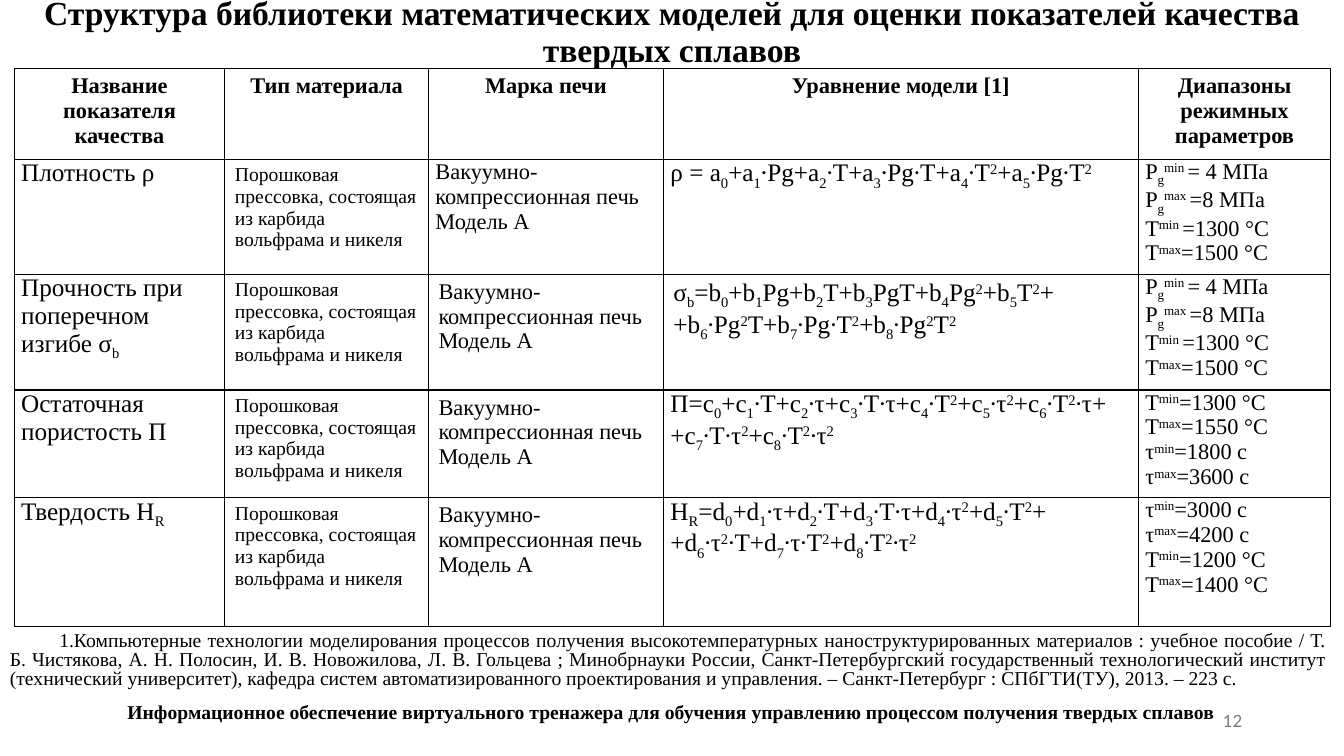
import copy
from dataclasses import dataclass

import pptx
import pptx.dml.color
import pptx.enum.text
import pptx.oxml
import pptx.oxml.ns
import pptx.util

Inches = pptx.util.Inches
Pt = pptx.util.Pt
Align = pptx.enum.text.PP_ALIGN
Anchor = pptx.enum.text.MSO_ANCHOR
NAMESPACE = pptx.oxml.ns.nsdecls("a")


@dataclass(frozen=True)
class Theme:
    """Fonts, colours and type sizes of the slide."""
    serif: str = "Times New Roman"
    sans: str = "Lato"
    ink: str = "000000"
    paper: str = "FFFFFF"
    muted: str = "797979"
    title: int = 24
    large: int = 18
    medium: int = 16
    small: int = 14
    number: int = 12
    border: float = 1
    subscript: int = -25000
    superscript: int = 30000


THEME = Theme()

TITLE = "Структура библиотеки математических моделей для оценки показателей качества твердых сплавов"
SUBJECT = ("Информационное обеспечение виртуального тренажера для обучения управлению "
           "процессом получения твердых сплавов")
REFERENCE = (
    "Компьютерные технологии моделирования процессов получения высокотемпературных "
    "наноструктурированных материалов : учебное пособие / Т. Б. Чистякова, А. Н. Полосин, "
    "И. В. Новожилова, Л. В. Гольцева ; Минобрнауки России, Санкт-Петербургский государственный "
    "технологический институт (технический университет), кафедра систем автоматизированного "
    "проектирования и управления. – Санкт-Петербург : СПбГТИ(ТУ), 2013. – 223 с.")

HEADINGS = ["Название показателя качества", "Тип материала", "Марка печи",
            "Уравнение модели [1]", "Диапазоны режимных параметров"]
MATERIAL = "Порошковая прессовка, состоящая из карбида вольфрама и никеля"
FURNACE = "Вакуумно-компрессионная печь Модель А"
PRESSURE_RANGES = ["P_g_^min ^= 4 МПа", "P_g_^max ^=8 МПа", "T^min ^=1300 °С", "T^max^=1500 °С"]
MODELS = [
    ("Плотность ρ",
     ["ρ = a_0_+a_1_∙Pg+a_2_∙T+a_3_∙Pg∙T+a_4_∙T^2^+a_5_∙Pg∙T^2^"],
     PRESSURE_RANGES),
    ("Прочность при поперечном изгибе σ_b_",
     ["σ_b_=b_0_+b_1_Pg+b_2_T+b_3_PgT+b_4_Pg^2^+b_5_T^2^+",
      "+b_6_∙Pg^2^T+b_7_∙Pg∙T^2^+b_8_∙Pg^2^T^2^"],
     PRESSURE_RANGES),
    ("Остаточная пористость П",
     ["П=c_0_+c_1_∙T+c_2_∙τ+c_3_∙T∙τ+c_4_∙T^2^+c_5_∙τ^2^+c_6_∙T^2^∙τ+"
      "+c_7_∙T∙τ^2^+c_8_∙T^2^∙τ^2^"],
     ["T^min^=1300 °С", "T^max^=1550 °С", "τ^min^=1800 с", "τ^max^=3600 с"]),
    ("Твердость H_R_",
     ["H_R_=d_0_+d_1_∙τ+d_2_∙T+d_3_∙T∙τ+d_4_∙τ^2^+d_5_∙T^2^+",
      "+d_6_∙τ^2^∙T+d_7_∙τ∙T^2^+d_8_∙T^2^∙τ^2^"],
     ["τ^min^=3000 с", "τ^max^=4200 с", "T^min^=1200 °С", "T^max^=1400 °С"]),
]
COLUMN_WIDTHS = [2.09, 2.02, 2.33, 4.71, 1.91]
ROW_HEIGHTS = [0.87, 1.06, 1.15, 1.03, 1.28]
TIGHT = (0.07, 0)
ROOMY = (0.1, 0.05)


def add_run(paragraph, text, size, bold=False, font=THEME.serif, color=THEME.ink, baseline=0):
    """Add one styled run, raised or lowered by its baseline."""
    run = paragraph.add_run()
    run.text = text
    run.font.size = Pt(size)
    run.font.bold = bold
    run.font.name = font
    run.font.color.rgb = pptx.dml.color.RGBColor.from_string(color)
    if baseline:
        run.font._element.set("baseline", str(baseline))


def add_formula(paragraph, markup, size, bold=False):
    """Add runs from markup where _x_ is a subscript and ^x^ a superscript."""
    for i, section in enumerate(markup.split("_")):
        for j, piece in enumerate(section.split("^")):
            baseline = THEME.subscript if i % 2 else THEME.superscript if j % 2 else 0
            if piece:
                add_run(paragraph, piece, size, bold, baseline=baseline)


def add_text(slide, box, text, size, align, anchor=Anchor.TOP, **style):
    """Place a wrapped one-paragraph text box and return its paragraph."""
    frame = slide.shapes.add_textbox(*map(Inches, box)).text_frame
    frame.word_wrap = True
    frame.vertical_anchor = anchor
    paragraph = frame.paragraphs[0]
    paragraph.alignment = align
    add_run(paragraph, text, size, **style)
    return paragraph


def add_title(slide, box):
    """Place the slide heading."""
    heading = add_text(slide, box, TITLE, THEME.title, Align.CENTER, Anchor.MIDDLE, bold=True)
    heading.line_spacing = 0.9


def add_reference(slide, box):
    """Place the numbered literature reference."""
    reference = add_text(slide, box, REFERENCE, THEME.small, Align.JUSTIFY)
    reference.line_spacing = 0.8
    reference.space_after = Pt(8)
    properties = reference._p.get_or_add_pPr()
    properties.set("marL", "0")
    properties.set("indent", str(Inches(0.49)))
    properties.append(pptx.oxml.parse_xml(f'<a:buAutoNum {NAMESPACE} type="arabicPeriod"/>'))


def add_footer(slide, box):
    """Place the subject line and the slide number at its right end."""
    left, top, width, height = box
    add_text(slide, box, SUBJECT, THEME.small, Align.CENTER, bold=True)
    add_text(slide, (left + width - 2.99, top + 0.06, 3, 0.4), "12", THEME.number,
             Align.RIGHT, Anchor.MIDDLE, font=THEME.sans, color=THEME.muted)


def fill_cell(cell, lines, size, insets, bold=False, align=Align.LEFT):
    """Write the lines of a cell and give it a plain fill and thin borders."""
    cell.margin_left = cell.margin_right = Inches(insets[0])
    cell.margin_top = cell.margin_bottom = Inches(insets[1])
    cell.fill.solid()
    cell.fill.fore_color.rgb = pptx.dml.color.RGBColor.from_string(THEME.paper)
    for i, line in enumerate(lines):
        paragraph = cell.text_frame.paragraphs[0] if i == 0 else cell.text_frame.add_paragraph()
        paragraph.alignment = align
        add_formula(paragraph, line, size, bold)
    properties = cell._tc.get_or_add_tcPr()
    for i, side in enumerate("LRTB"):
        properties.insert(i, pptx.oxml.parse_xml(
            f'<a:ln{side} {NAMESPACE} w="{Pt(THEME.border)}"><a:solidFill>'
            f'<a:srgbClr val="{THEME.ink}"/></a:solidFill></a:ln{side}>'))


def add_models(slide, left, top):
    """Place the table of quality indicators and their models."""
    table = slide.shapes.add_table(
        len(ROW_HEIGHTS), len(COLUMN_WIDTHS), Inches(left), Inches(top),
        Inches(sum(COLUMN_WIDTHS)), Inches(sum(ROW_HEIGHTS))).table
    table.first_row = table.horz_banding = False
    for column, width in zip(table.columns, COLUMN_WIDTHS):
        column.width = Inches(width)
    for row, height in zip(table.rows, ROW_HEIGHTS):
        row.height = Inches(height)
    for column, heading in enumerate(HEADINGS):
        fill_cell(table.cell(0, column), [heading], THEME.medium, ROOMY, True, Align.CENTER)
    for row, (indicator, equation, ranges) in enumerate(MODELS, 1):
        contents = [
            ([indicator], THEME.large, TIGHT),
            ([MATERIAL], THEME.small, ROOMY),
            ([FURNACE], THEME.medium, TIGHT if row == 1 else ROOMY),
            (equation, THEME.large, ROOMY if row == 2 else TIGHT),
            (ranges, THEME.medium, TIGHT),
        ]
        for column, content in enumerate(contents):
            fill_cell(table.cell(row, column), *content)


def main():
    """Build the slide and save it."""
    presentation = pptx.Presentation()
    presentation.slide_width = Inches(13.33)
    presentation.slide_height = Inches(7.5)
    slide = presentation.slides.add_slide(presentation.slide_layouts[6])
    add_title(slide, (0, 0.03, 13.33, 0.6))
    add_models(slide, 0.14, 0.68)
    add_footer(slide, (0.91, 6.89, 11.5, 0.34))
    add_reference(slide, (0, 6.23, 13.26, 0.67))
    presentation.save("out.pptx")


if __name__ == "__main__":
    main()
